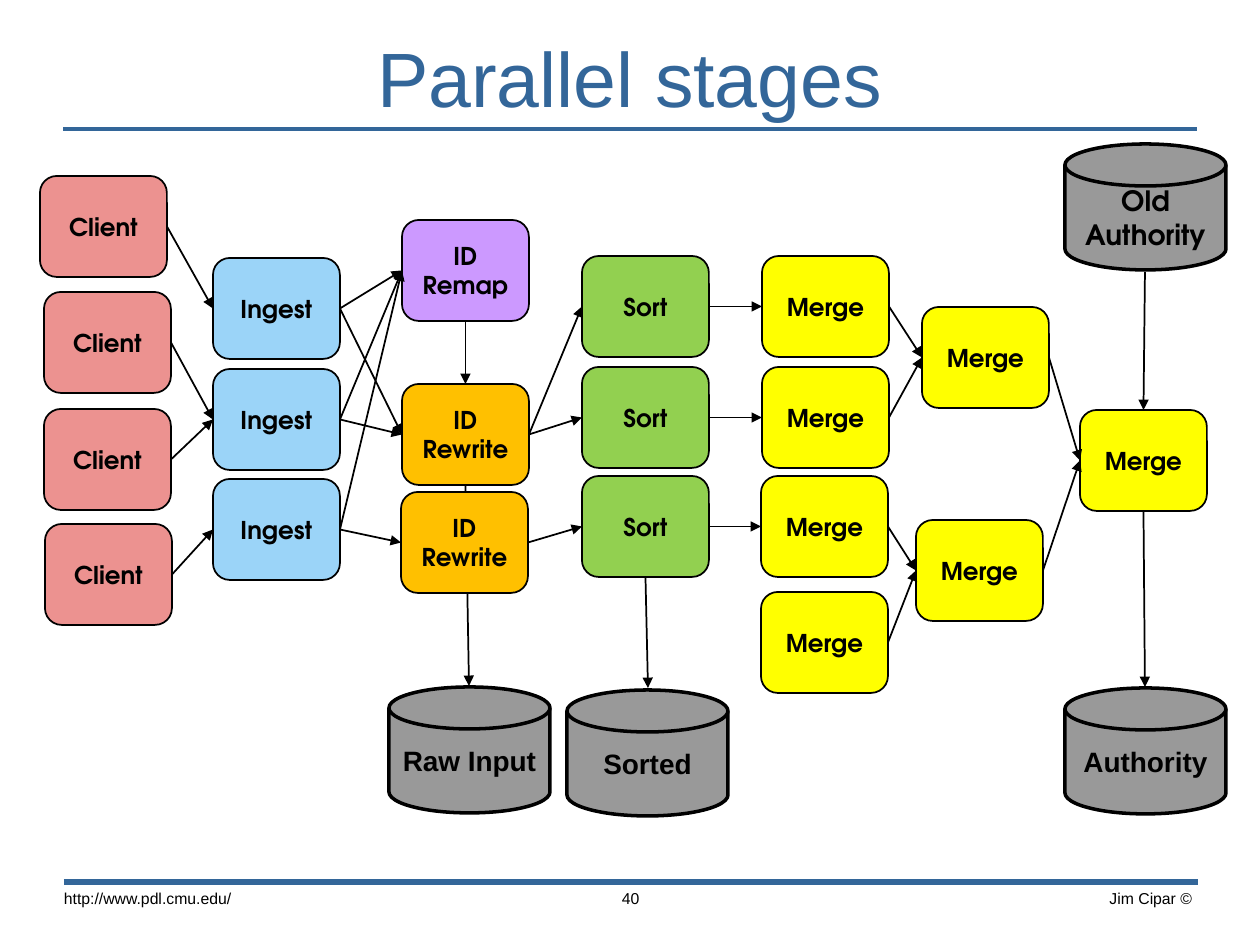
from pptx import Presentation
from pptx.dml.color import RGBColor
from pptx.enum.shapes import MSO_CONNECTOR as Connector, MSO_SHAPE as Shape
from pptx.enum.text import MSO_ANCHOR as Anchor, PP_ALIGN as Align
from pptx.oxml.ns import qn
from pptx.util import Inches, Pt
from lxml.etree import SubElement

PX = Inches(1) / 126
BLACK = RGBColor(0x00, 0x00, 0x00)
NAVY = RGBColor(0x33, 0x66, 0x99)
PINK = RGBColor(0xEC, 0x92, 0x90)
SKY = RGBColor(0x9B, 0xD4, 0xF8)
PURPLE = RGBColor(0xCC, 0x99, 0xFF)
ORANGE = RGBColor(0xFF, 0xC0, 0x00)
GREEN = RGBColor(0x92, 0xD0, 0x50)
YELLOW = RGBColor(0xFF, 0xFF, 0x00)
GRAY = RGBColor(0x99, 0x99, 0x99)

SANS = "Arial"
GEOMETRIC = "TeX Gyre Adventor"
TOP, LEFT, BOTTOM, RIGHT = range(4)
STAGE_SIZE = (127, 101)
STORE_SIZE = (161, 126)
STAGE_FONT = {"name": GEOMETRIC, "size": Pt(14), "bold": True}
STORE_FONT = {"name": SANS, "size": Pt(16), "bold": True}
TITLE_FONT = {"name": SANS, "size": Pt(44)}
FOOTER_FONT = {"name": SANS, "size": Pt(9)}


def emu(*lengths):
    return [round(length * PX) for length in lengths]


class Diagram:
    def __init__(self, slide):
        self.slide = slide

    def set_text(self, shape, text, font, color=BLACK, align=Align.CENTER,
                 anchor=Anchor.MIDDLE, margins=(13, 6)):
        frame = shape.text_frame
        side, end = emu(*margins)
        frame_format = {"word_wrap": True, "vertical_anchor": anchor,
                        "margin_left": side, "margin_right": side,
                        "margin_top": end, "margin_bottom": end}
        for name, value in frame_format.items():
            setattr(frame, name, value)
        paragraph = frame.paragraphs[0]
        paragraph.text = text
        paragraph.alignment = align
        for name, value in font.items():
            setattr(paragraph.font, name, value)
        paragraph.font.color.rgb = color

    def label(self, box, text, font, **style):
        shape = self.slide.shapes.add_textbox(*emu(*box))
        self.set_text(shape, text, font, **style)

    def block(self, preset, box, text, fill, font, line_width):
        shape = self.slide.shapes.add_shape(preset, *emu(*box))
        shape.shadow.inherit = False
        shape.fill.solid()
        shape.fill.fore_color.rgb = fill
        shape.line.color.rgb = BLACK
        shape.line.width = Pt(line_width)
        self.set_text(shape, text, font)
        return shape

    def stage(self, text, fill, left, top):
        return self.block(Shape.ROUNDED_RECTANGLE, (left, top, *STAGE_SIZE),
                          text, fill, STAGE_FONT, 1)

    def column(self, text, fill, places):
        return [self.stage(text, fill, left, top) for left, top in places]

    def store(self, text, left, top, font=STORE_FONT):
        return self.block(Shape.FLOWCHART_MAGNETIC_DISK,
                          (left, top, *STORE_SIZE), text, GRAY, font, 2)

    def line(self, start, end, color=BLACK, width=1):
        connector = self.slide.shapes.add_connector(
            Connector.STRAIGHT, *emu(*start, *end))
        connector.line.color.rgb = color
        connector.line.width = Pt(width)
        SubElement(connector._element.spPr, qn("a:effectLst"))
        return connector

    def arrow(self, source, target, source_side=RIGHT, target_side=LEFT):
        start = source if isinstance(source, tuple) else (0, 0)
        end = target if isinstance(target, tuple) else (0, 0)
        connector = self.line(start, end)
        if source is not start:
            connector.begin_connect(source, source_side)
        if target is not end:
            connector.end_connect(target, target_side)
        SubElement(connector.line._get_or_add_ln(), qn("a:tailEnd"),
                   type="triangle")


def main():
    presentation = Presentation()
    presentation.slide_width, presentation.slide_height = emu(1260, 945)
    slide = presentation.slides.add_slide(presentation.slide_layouts[6])
    diagram = Diagram(slide)

    diagram.line((63, 129), (1197, 129), NAVY, 2)
    diagram.line((64, 882), (1198, 882), NAVY, 3.5)
    diagram.label((0, 29, 1260, 95), "Parallel stages", TITLE_FONT, color=NAVY)
    footers = [
        ((50, 881, 315, 53), "http://www.pdl.cmu.edu/", Align.LEFT),
        ((508, 881, 245, 29), "40", Align.CENTER),
        ((891, 881, 315, 53), "Jim Cipar ©", Align.RIGHT),
    ]
    for box, text, align in footers:
        diagram.label(box, text, FOOTER_FONT, align=align,
                      anchor=Anchor.TOP, margins=(14, 8))

    raw_input_top = (469, 686)
    rewrite_upper = diagram.stage("ID Rewrite", ORANGE, 402, 384)
    diagram.arrow(rewrite_upper, raw_input_top, BOTTOM)
    rewrite_lower = diagram.stage("ID Rewrite", ORANGE, 401, 492)
    remap = diagram.stage("ID Remap", PURPLE, 402, 220)

    clients = diagram.column(
        "Client", PINK, [(40, 176), (44, 292), (44, 409), (45, 524)])
    ingests = diagram.column(
        "Ingest", SKY, [(213, 258), (213, 369), (213, 479)])
    sorts = diagram.column(
        "Sort", GREEN, [(582, 256), (582, 367), (582, 476)])
    first_merges = diagram.column(
        "Merge", YELLOW, [(762, 256), (762, 367), (761, 476), (761, 592)])
    second_merges = diagram.column("Merge", YELLOW, [(922, 307), (916, 520)])
    final_merge = diagram.stage("Merge", YELLOW, 1080, 410)

    diagram.store("Raw Input", 389, 687)
    diagram.store("Sorted", 567, 690)
    diagram.store("Authority", 1065, 688)
    diagram.store("Old Authority", 1065, 144, {**STORE_FONT, "name": GEOMETRIC})

    flows = [
        *zip(clients, [ingests[0], ingests[1], ingests[1], ingests[2]]),
        *((ingest, remap) for ingest in ingests),
        *zip(ingests, [rewrite_upper, rewrite_upper, rewrite_lower]),
        *zip([rewrite_upper, rewrite_upper, rewrite_lower], sorts),
        *zip(sorts, first_merges),
        *((merge, second_merges[index // 2])
          for index, merge in enumerate(first_merges)),
        *((merge, final_merge) for merge in second_merges),
    ]
    for source, target in flows:
        diagram.arrow(source, target)

    diagram.arrow(remap, rewrite_upper, BOTTOM, TOP)
    diagram.arrow(sorts[2], (648, 688), BOTTOM)
    diagram.arrow((1145, 272), final_merge, target_side=TOP)
    diagram.arrow(final_merge, (1145, 687), BOTTOM)

    presentation.save("out.pptx")


if __name__ == "__main__":
    main()
